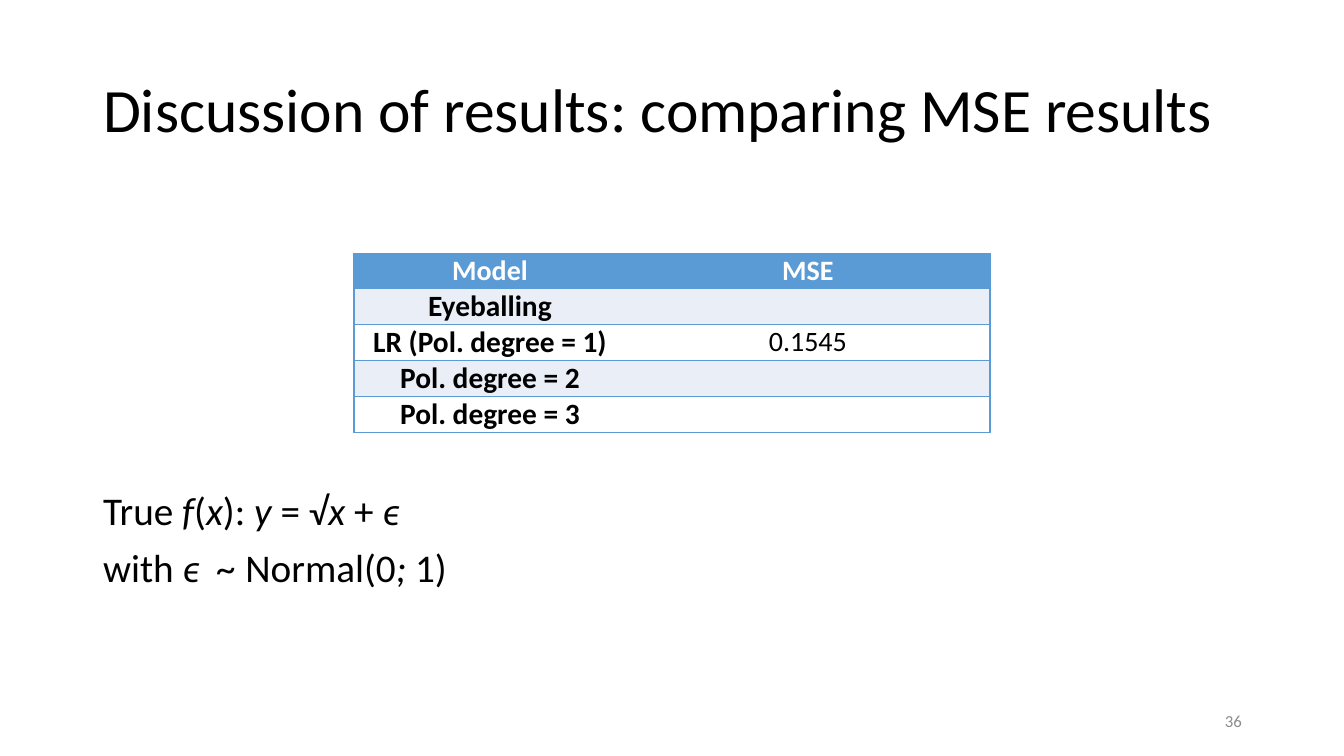
from lxml.etree import SubElement
from pptx import Presentation
from pptx.dml.color import RGBColor
from pptx.enum.text import MSO_ANCHOR, MSO_AUTO_SIZE, PP_ALIGN
from pptx.oxml.ns import qn
from pptx.util import Pt

EMU_PER_PX = 12192000 / 1344
COLORS = {
    "text": "000000",
    "number": "8C8C8C",
    "header": "5B9BD5",
    "header_text": "FFFFFF",
    "band": "EAEFF7",
    "plain": "FFFFFF",
}
FORMATS = {
    "title": {"size": Pt(44), "color": "text"},
    "body": {"size": Pt(28), "color": "text"},
    "number": {"size": Pt(12), "color": "number"},
    "header": {"size": Pt(20), "bold": True, "color": "header_text"},
    "model": {"size": Pt(21), "bold": True, "color": "text"},
    "score": {"size": Pt(20), "bold": False, "color": "text"},
}
NO_TABLE_STYLE = "{2D5ABB26-0587-4C30-8999-92F81FD0307C}"
RESULTS = [
    ("Model", "MSE"),
    ("Eyeballing", ""),
    ("LR (Pol. degree = 1)", "0.1545"),
    ("Pol. degree = 2", ""),
    ("Pol. degree = 3", ""),
]
TRUE_MODEL = [
    [("True ", False), ("f", True), ("(", False), ("x", True), ("): ", False),
     ("y ", True), ("= √", False), ("x ", True), ("+ ", False), ("ϵ", True)],
    [("with ", False), ("ϵ  ~ ", True), ("Normal(0", False), ("; ", True), ("1)", False)],
]


def px(length):
    return round(length * EMU_PER_PX)


def assign(target, values):
    for name, value in values.items():
        setattr(target, name, value)


class SlideBuilder:
    def __init__(self, slide, font_name="Calibri"):
        self.slide = slide
        self.font_name = font_name

    def rgb(self, color):
        return RGBColor.from_string(COLORS[color])

    def place(self, shape, left, top, width, height):
        assign(shape, {"left": px(left), "top": px(top),
                       "width": px(width), "height": px(height)})

    def add_text(self, paragraph, text, style, italic=False):
        run = paragraph.add_run()
        run.text = text
        values = dict(FORMATS[style], name=self.font_name, italic=italic)
        run.font.color.rgb = self.rgb(values.pop("color"))
        assign(run.font, values)

    def frame(self, shape, anchor):
        assign(shape.text_frame, {"word_wrap": True, "auto_size": MSO_AUTO_SIZE.NONE,
                                  "vertical_anchor": anchor})
        return shape.text_frame

    def title(self, text, *box):
        heading = self.slide.shapes.title
        self.place(heading, *box)
        paragraph = self.frame(heading, MSO_ANCHOR.MIDDLE).paragraphs[0]
        assign(paragraph, {"alignment": PP_ALIGN.LEFT, "line_spacing": 0.9})
        self.add_text(paragraph, text, "title")

    def body(self, lines, *box):
        content = self.slide.placeholders[1]
        self.place(content, *box)
        frame = self.frame(content, MSO_ANCHOR.TOP)
        for index, line in enumerate(lines):
            paragraph = frame.add_paragraph() if index else frame.paragraphs[0]
            properties = paragraph._p.get_or_add_pPr()
            properties.set("marL", "0")
            properties.set("indent", "0")
            SubElement(properties, qn("a:buNone"))
            assign(paragraph, {"line_spacing": 0.9, "space_before": Pt(10 if index else 0)})
            for text, italic in line:
                self.add_text(paragraph, text, "body", italic)

    def page_number(self, text, *box):
        number = self.slide.shapes.add_textbox(*map(px, box))
        paragraph = self.frame(number, MSO_ANCHOR.MIDDLE).paragraphs[0]
        paragraph.alignment = PP_ALIGN.RIGHT
        self.add_text(paragraph, text, "number")

    def borders(self, cell, sides):
        properties = cell._tc.get_or_add_tcPr()
        for index, side in enumerate(sides):
            line = SubElement(properties, qn(f"a:ln{side}"), w=str(Pt(1)))
            fill = SubElement(line, qn("a:solidFill"))
            SubElement(fill, qn("a:srgbClr"), val=COLORS["header"])
            properties.insert(index, line)

    def cell(self, cell, text, style, fill, sides):
        margin = px(13 if style == "model" else 7)
        assign(cell, {"margin_left": margin, "margin_right": margin,
                      "margin_top": 0, "margin_bottom": 0})
        cell.fill.solid()
        cell.fill.fore_color.rgb = self.rgb(fill)
        self.borders(cell, sides)
        if text:
            paragraph = cell.text_frame.paragraphs[0]
            paragraph.alignment = PP_ALIGN.CENTER
            self.add_text(paragraph, text, style)

    def table(self, rows, left, top, column_widths, header_height, row_height):
        height = header_height + row_height * (len(rows) - 1)
        frame = self.slide.shapes.add_table(
            len(rows), len(column_widths),
            *map(px, (left, top, sum(column_widths), height)))
        table = frame.table
        assign(table, {"first_row": False, "horz_banding": False})
        table._tbl.tblPr.find(qn("a:tableStyleId")).text = NO_TABLE_STYLE
        for column, width in zip(table.columns, column_widths):
            column.width = px(width)
        for row_index, row in enumerate(rows):
            table.rows[row_index].height = px(row_height if row_index else header_height)
            fill = ("plain", "band")[row_index % 2] if row_index else "header"
            styles = ("model", "score") if row_index else ("header", "header")
            for column_index, (text, style, sides) in enumerate(zip(row, styles, ("LTB", "RTB"))):
                self.cell(table.cell(row_index, column_index), text, style, fill, sides)


def main():
    presentation = Presentation()
    assign(presentation, {"slide_width": px(1344), "slide_height": px(756)})
    builder = SlideBuilder(presentation.slides.add_slide(presentation.slide_layouts[1]))
    builder.title("Discussion of results: comparing MSE results", 93, 40, 1159, 146)
    builder.body(TRUE_MODEL, 93, 487, 1159, 194)
    builder.page_number("36", 950, 701, 302, 40)
    builder.table(RESULTS, 354, 254, (272, 364), 34, 36)
    presentation.save("out.pptx")


if __name__ == "__main__":
    main()
